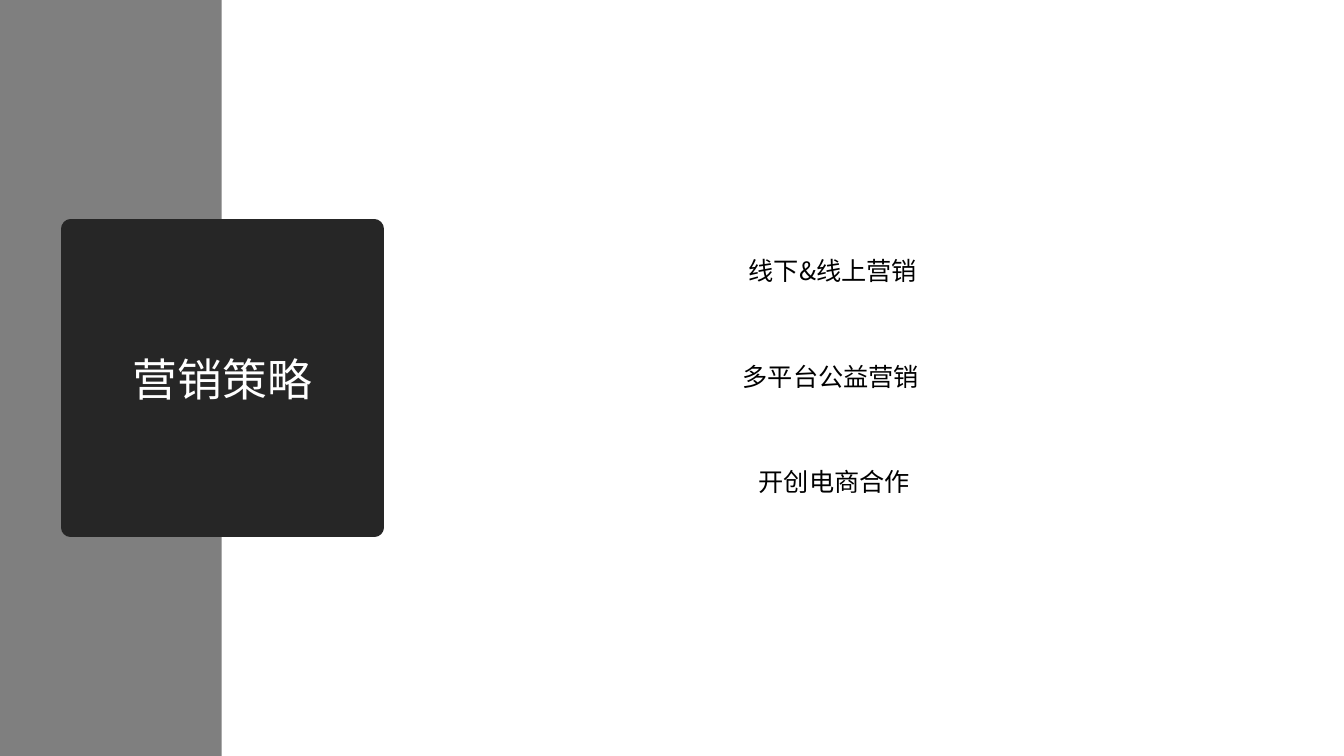
"""Build the marketing strategy slide with a round title and three topics."""
from lxml import etree
from pptx import Presentation
from pptx import util as u
from pptx.dml.color import RGBColor
from pptx.enum import shapes, text
from pptx.oxml import ns

FONT = "Noto Sans CJK SC"


def paint(colour_format, colour):
    colour_format.solid()
    colour_format.fore_color.rgb = RGBColor.from_string(colour)


def write(frame, words, size, colour):
    run = frame.paragraphs[0].add_run()
    run.text = words
    run.font.size = u.Pt(size)
    run.font.name = FONT
    paint(run.font.fill, colour)
    east_asian = etree.SubElement(run.font._element, ns.qn("a:ea"))
    east_asian.set("typeface", FONT)


deck = Presentation()
deck.slide_width, deck.slide_height = u.Cm(33.87), u.Cm(19.05)
slide = deck.slides.add_slide(deck.slide_layouts[5])

band = slide.shapes.add_shape(
    shapes.MSO_SHAPE.RECTANGLE, 0, 0, u.Cm(5.59), deck.slide_height)
band.shadow.inherit = False
paint(band.fill, "7F7F7F")
band.line.fill.background()
slide.shapes._spTree.insert(2, band._element)

strategy = slide.shapes.title
strategy.left, strategy.top = u.Cm(1.78), u.Cm(5.77)
strategy.width, strategy.height = u.Cm(7.65), u.Cm(7.52)
outline = etree.SubElement(strategy._element.spPr, ns.qn("a:prstGeom"))
outline.set("prst", "ellipse")
etree.SubElement(outline, ns.qn("a:avLst"))
paint(strategy.fill, "262626")
paint(strategy.line.fill, "262626")
strategy.line.width = u.Pt(13.75)
strategy.text_frame.auto_size = text.MSO_AUTO_SIZE.NONE
strategy.text_frame.vertical_anchor = text.MSO_ANCHOR.MIDDLE
strategy.text_frame.paragraphs[0].alignment = text.PP_ALIGN.CENTER
write(strategy.text_frame, "营销策略", 32, "FFFFFF")

topics = [
    ("线下&线上营销", 18.62, 4.85),
    ("多平台公益营销", 18.47, 5),
    ("开创电商合作", 18.87, 4.37),
]
for row, (words, left, width) in enumerate(topics):
    topic = slide.shapes.add_textbox(
        u.Cm(left), u.Cm(6.32 + 2.65 * row), u.Cm(width), u.Cm(1.02))
    topic.text_frame.word_wrap = True
    topic.text_frame.auto_size = text.MSO_AUTO_SIZE.SHAPE_TO_FIT_TEXT
    write(topic.text_frame, words, 18, "000000")

deck.save("out.pptx")
